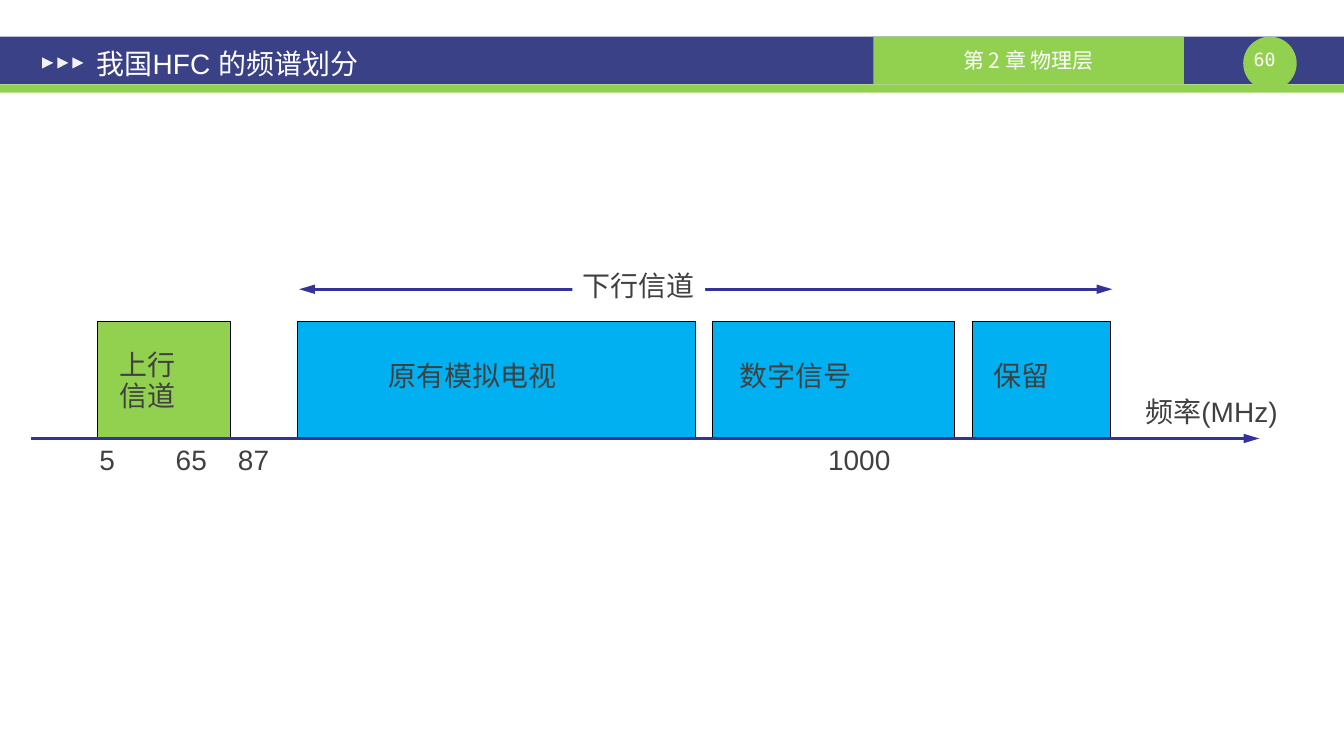
from dataclasses import dataclass

from lxml.etree import SubElement as Sub
from pptx import Presentation
from pptx.dml.color import RGBColor as Rgb
from pptx.enum.shapes import MSO_CONNECTOR as Connector, MSO_SHAPE as Preset
from pptx.enum.text import MSO_ANCHOR as Anchor, PP_ALIGN as Align
from pptx.oxml.ns import qn
from pptx.shapes.autoshape import Shape
from pptx.slide import Slide
from pptx.util import Pt


@dataclass(frozen=True)
class Theme:
    navy: str = "3A4187"
    green: str = "92D050"
    blue: str = "00B0F0"
    arrow: str = "333399"
    marker: str = "F2F2F2"
    white: str = "FFFFFF"
    black: str = "000000"
    ink: str = "404040"
    latin: str = "Arial"
    cjk: str = "Noto Sans CJK SC"
    mono: str = "DejaVu Sans Mono"
    body_size: float = 20
    chapter_size: float = 15
    page_size: float = 13
    border: float = 0.75
    arrow_width: float = 2.25


THEME = Theme()


@dataclass(frozen=True)
class Box:
    left: float
    top: float
    width: float
    height: float


@dataclass(frozen=True)
class Text:
    content: str
    size: float = THEME.body_size
    color: str = THEME.ink
    font: str = THEME.latin
    align: Align = Align.LEFT
    anchor: Anchor = Anchor.TOP
    inset: tuple[float, float] = (7.2, 3.6)
    spacing: float = 1.0


@dataclass(frozen=True)
class Band:
    left: float
    width: float
    fill: str


@dataclass(frozen=True)
class Label:
    box: Box
    text: Text


# Frequency axis and the channel bands standing on it
AXIS_Y = 313.2
BAND_HEIGHT = 83.5
LABEL_HEIGHT = 31.7
DIGIT_WIDTH = 11.1
BANDS = [
    Band(69.8, 95, THEME.green),
    Band(212.4, 284.4, THEME.blue),
    Band(509, 173.5, THEME.blue),
    Band(694.8, 98.6, THEME.blue),
]
LABELS = [
    Label(Box(78.5, 247.7, 54.7, 51.1), Text("上行\n信道", spacing=0.9)),
    Label(Box(270.7, 252.7, 135.4, LABEL_HEIGHT), Text("原有模拟电视")),
    Label(Box(521.3, 252.7, 95, LABEL_HEIGHT), Text("数字信号")),
    Label(Box(702.7, 252.7, 54.7, LABEL_HEIGHT), Text("保留")),
    Label(Box(811.4, 278.6, 113.8, LABEL_HEIGHT), Text("频率(MHz)")),
]
FREQUENCIES = {"5": 64, "65": 118.5, "87": 163, "1000": 584.7}


def write(shape: Shape, text: Text) -> None:
    frame = shape.text_frame
    across, down = (Pt(side) for side in text.inset)
    layout = {
        "word_wrap": False, "vertical_anchor": text.anchor,
        "margin_left": across, "margin_right": across,
        "margin_top": down, "margin_bottom": down,
    }
    for name, value in layout.items():
        setattr(frame, name, value)
    for index, content in enumerate(text.content.split("\n")):
        paragraph = frame.add_paragraph() if index else frame.paragraphs[0]
        paragraph.alignment = text.align
        paragraph.line_spacing = text.spacing
        run = paragraph.add_run()
        run.text = content
        for name, value in {"size": Pt(text.size), "name": text.font}.items():
            setattr(run.font, name, value)
        run.font.color.rgb = Rgb.from_string(text.color)
        # East Asian typeface
        Sub(run._r.get_or_add_rPr(), qn("a:ea"), typeface=THEME.cjk)


def add_block(slide: Slide, preset: Preset, box: Box, fill: str,
              outlined: bool = False) -> Shape:
    block = slide.shapes.add_shape(
        preset, Pt(box.left), Pt(box.top), Pt(box.width), Pt(box.height))
    block.shadow.inherit = False
    block.fill.solid()
    block.fill.fore_color.rgb = Rgb.from_string(fill)
    if outlined:
        block.line.color.rgb = Rgb.from_string(THEME.black)
        block.line.width = Pt(THEME.border)
    else:
        block.line.fill.background()
    return block


def add_label(slide: Slide, label: Label) -> None:
    box = label.box
    write(slide.shapes.add_textbox(
        Pt(box.left), Pt(box.top), Pt(box.width), Pt(box.height)), label.text)


def add_arrow(slide: Slide, start: float, end: float, y: float,
              ends: tuple[str, ...]) -> None:
    arrow = slide.shapes.add_connector(
        Connector.STRAIGHT, Pt(start), Pt(y), Pt(end), Pt(y))
    arrow.line.color.rgb = Rgb.from_string(THEME.arrow)
    arrow.line.width = Pt(THEME.arrow_width)
    for end_tag in ends:
        Sub(arrow.line._ln, qn(end_tag), type="triangle", w="med", len="lg")
    Sub(arrow._element.spPr, qn("a:effectLst"))


def draw_header(slide: Slide, slide_width: float) -> None:
    top, height = 26.2, 34
    add_block(slide, Preset.RECTANGLE, Box(0, top, slide_width, height), THEME.navy)
    add_block(slide, Preset.RECTANGLE, Box(0, 60.3, slide_width, 5.8), THEME.green)

    # Page number
    add_block(slide, Preset.OVAL, Box(888.5, top, 38.2, 38.2), THEME.green)
    add_label(slide, Label(
        Box(884.6, 34.6, 38.2, 15.8),
        Text("60", THEME.page_size, THEME.white, THEME.mono, Align.CENTER, inset=(0, 0))))

    # Chapter tab
    chapter = add_block(
        slide, Preset.RECTANGLE, Box(624.2, top, 221.8, height), THEME.green)
    write(chapter, Text("第 2 章 物理层", THEME.chapter_size, THEME.white, THEME.cjk,
                        Align.CENTER, Anchor.MIDDLE, (5.8, 2.9)))

    # Title with its three pointers
    for index in range(3):
        pointer = add_block(slide, Preset.ISOSCELES_TRIANGLE,
                            Box(30.2 + 10.8 * index, 41, 7.9, 7.9), THEME.marker)
        pointer.rotation = 90
    add_label(slide, Label(
        Box(61.2, 28.1, 419.8, 33.8),
        Text("我国HFC 的频谱划分", color=THEME.white, anchor=Anchor.MIDDLE, inset=(7.9, 4.3))))


def draw_spectrum(slide: Slide) -> None:
    # Downstream span, broken by its label
    add_arrow(slide, 213.8, 794.9, 206.6, ("a:headEnd", "a:tailEnd"))
    downstream = add_block(
        slide, Preset.RECTANGLE, Box(409, 187.9, 95, LABEL_HEIGHT), THEME.white)
    write(downstream, Text("下行信道"))

    # Channel bands and captions
    for band in BANDS:
        add_block(slide, Preset.RECTANGLE,
                  Box(band.left, AXIS_Y - BAND_HEIGHT, band.width, BAND_HEIGHT),
                  band.fill, outlined=True)
    for label in LABELS:
        add_label(slide, label)

    # Axis and its frequencies
    for value, left in FREQUENCIES.items():
        width = DIGIT_WIDTH * len(value) + 14.4
        add_label(slide, Label(Box(left, 312.5, width, LABEL_HEIGHT), Text(value)))
    add_arrow(slide, 22.3, 900, AXIS_Y, ("a:tailEnd",))


def main() -> None:
    deck = Presentation()
    deck.slide_width, deck.slide_height = Pt(960.48), Pt(540)
    slide = deck.slides.add_slide(deck.slide_layouts[6])
    draw_header(slide, 960.48)
    draw_spectrum(slide)
    deck.save("out.pptx")


if __name__ == "__main__":
    main()
